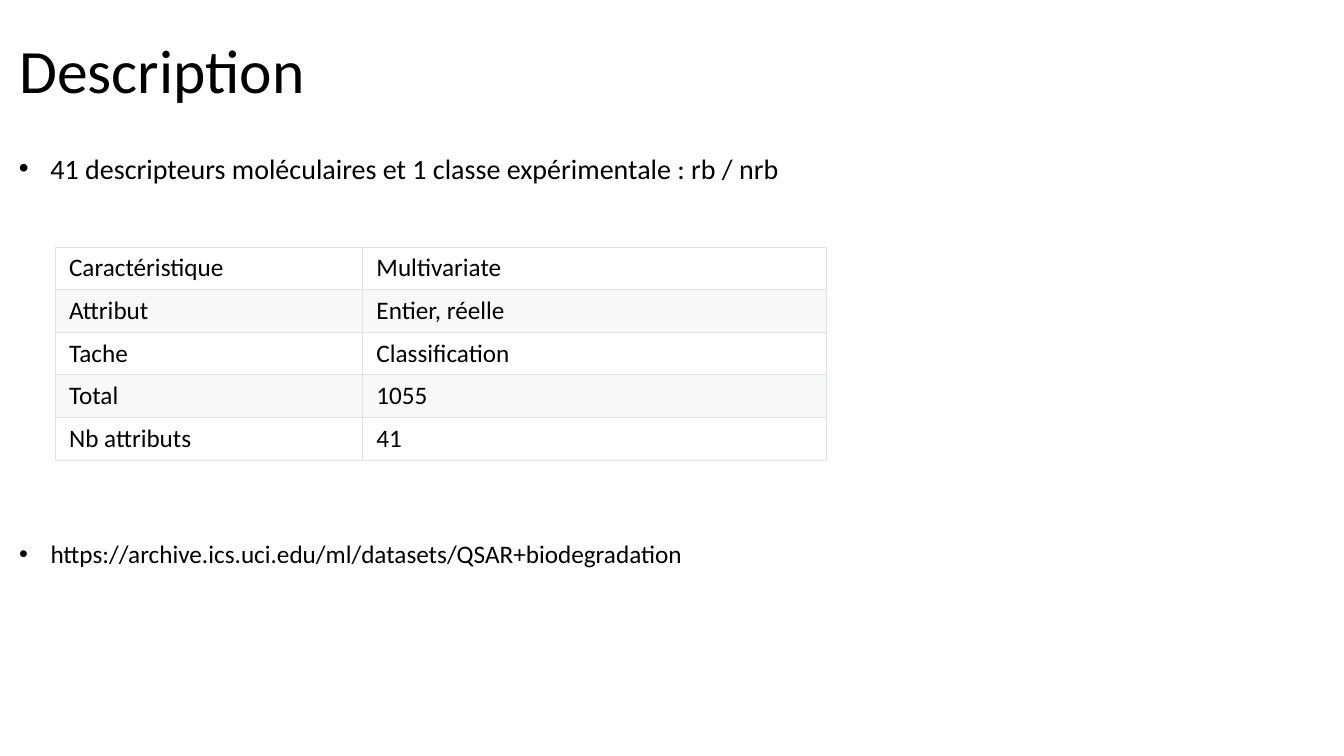
from lxml.etree import SubElement as Sub
from pptx import Presentation as Deck
from pptx.dml.color import RGBColor as Rgb
from pptx.enum.text import MSO_ANCHOR as Anchor, PP_ALIGN as Align
from pptx.oxml.ns import qn
from pptx.util import Pt

FONT = "Calibri"
HUES = {"text": "000000", "plain": "FFFFFF", "band": "F6F8FA", "rule": "DFE2E5"}
ROWS = [
    ("Caractéristique", "Multivariate"),
    ("Attribut", "Entier, réelle"),
    ("Tache", "Classification"),
    ("Total", "1055"),
    ("Nb attributs", "41"),
]
EDGE = 6.5
INDENT = 22.5


def style(para, size):
    for run in para.runs:
        run.font.name = FONT
        run.font.size = Pt(size)
        run.font.color.rgb = Rgb.from_string(HUES["text"])


def add_title(slide, text):
    title = slide.shapes.title
    title.left, title.top, title.width, title.height = Pt(EDGE), Pt(0), Pt(828), Pt(104.4)
    frame = title.text_frame
    frame.text = text
    frame.vertical_anchor = Anchor.MIDDLE
    para = frame.paragraphs[0]
    para.alignment = Align.LEFT
    para.line_spacing = 0.9
    style(para, 44)


def add_bullet(slide, text, top, width, height, size, align):
    box = slide.shapes.add_textbox(Pt(EDGE), Pt(top), Pt(width), Pt(height))
    frame = box.text_frame
    frame.word_wrap = True
    frame.text = text
    para = frame.paragraphs[0]
    para.alignment = align
    props = para._p.get_or_add_pPr()
    props.set("marL", str(Pt(INDENT)))
    props.set("indent", str(-Pt(INDENT)))
    Sub(props, qn("a:buFont"), typeface="Arial")
    Sub(props, qn("a:buChar"), char="•")
    style(para, size)


def add_rules(cell):
    props = cell._tc.get_or_add_tcPr()
    for place, side in enumerate(("L", "R", "T", "B")):
        line = Sub(props, qn(f"a:ln{side}"), w=str(Pt(0.75)))
        fill = Sub(line, qn("a:solidFill"))
        Sub(fill, qn("a:srgbClr"), val=HUES["rule"])
        props.insert(place, line)


def fill_cell(cell, text, hue):
    cell.text = text
    cell.vertical_anchor = Anchor.MIDDLE
    cell.margin_left = cell.margin_right = Pt(9.75)
    cell.margin_top = cell.margin_bottom = Pt(4.25)
    cell.fill.solid()
    cell.fill.fore_color.rgb = Rgb.from_string(hue)
    style(cell.text_frame.paragraphs[0], 18)
    add_rules(cell)


def add_grid(slide, rows, left, top, widths, height):
    frame = slide.shapes.add_table(
        len(rows), len(widths), Pt(left), Pt(top), Pt(sum(widths)), Pt(height * len(rows))
    )
    table = frame.table
    table.first_row = table.horz_banding = False
    for col, width in zip(table.columns, widths):
        col.width = Pt(width)
    for i, row in enumerate(rows):
        table.rows[i].height = Pt(height)
        hue = HUES["band" if i % 2 else "plain"]
        for j, text in enumerate(row):
            fill_cell(table.cell(i, j), text, hue)


def main():
    deck = Deck()
    deck.slide_width, deck.slide_height = Pt(960), Pt(540)
    slide = deck.slides.add_slide(deck.slide_layouts[5])
    add_title(slide, "Description")
    add_bullet(slide, "41 descripteurs moléculaires et 1 classe expérimentale : rb / nrb",
               104.4, 924.5, 55.5, 20, Align.JUSTIFY)
    add_grid(slide, ROWS, 39.6, 176.4, (219.6, 331.2), 30.5)
    add_bullet(slide, "https://archive.ics.uci.edu/ml/datasets/QSAR+biodegradation",
               381, 504.7, 29, 18, Align.LEFT)
    deck.save("out.pptx")


main()
